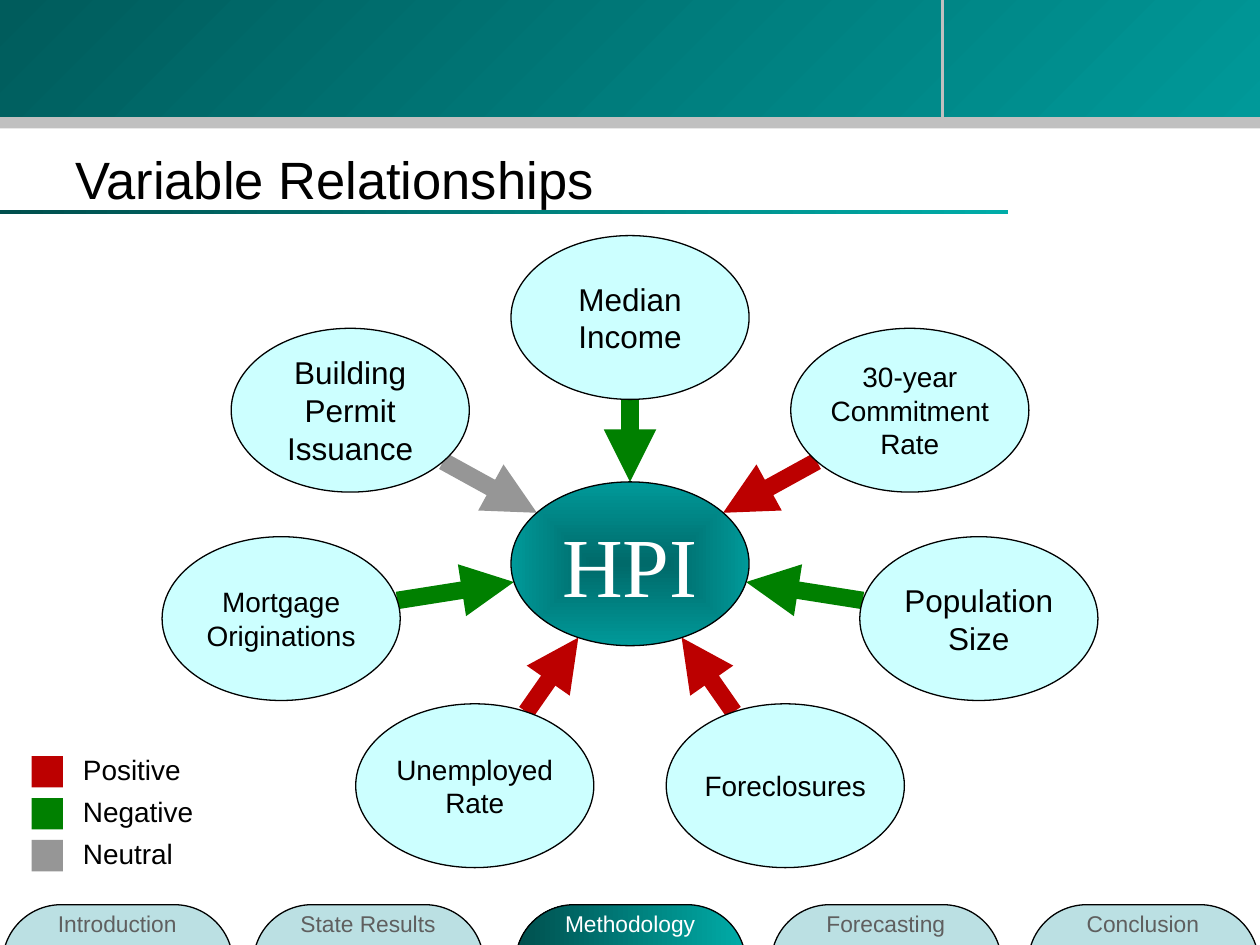
import math

import lxml.etree
import pptx
import pptx.dml.color
import pptx.enum.shapes
import pptx.enum.text
import pptx.oxml
import pptx.oxml.ns
import pptx.util

Inches = pptx.util.Inches
SHAPE = pptx.enum.shapes.MSO_SHAPE
ALIGN = pptx.enum.text.PP_ALIGN
ANCHOR = pptx.enum.text.MSO_ANCHOR

COLORS = {
    "black": "000000", "white": "FFFFFF", "silver": "C0C0C0",
    "teal": "009999", "dark_teal": "005C5C", "hub_core": "006A6A",
    "accent": "00ACA8", "dark_accent": "004F4D",
    "bubble": "CCFFFF", "tab": "BBE0E3", "tab_text": "5F5F5F",
    "positive": "BC0000", "negative": "008000", "neutral": "969696",
}

# Variables clockwise from the top: label, size, relationship
VARIABLES = [
    ("Median\nIncome", 18, "negative"),
    ("30-year Commitment Rate", 16, "positive"),
    ("Population\nSize", 18, "negative"),
    ("Foreclosures", 16, "positive"),
    ("Unemployed Rate", 16, "positive"),
    ("Mortgage Originations", 16, "negative"),
    ("Building Permit Issuance", 18, "neutral"),
]
TABS = [(0.02, "Introduction"), (2.01, "State Results"), (4.09, "Methodology"),
        (6.12, "Forecasting"), (8.16, "Conclusion")]
ACTIVE_TAB = "Methodology"

CENTER_X, CENTER_Y = 5, 4.475
ORBIT_X, ORBIT_Y = 2.84, 1.955
BUBBLE_WIDTH, BUBBLE_HEIGHT = 1.89, 1.3


def rgb(name):
    return pptx.dml.color.RGBColor.from_string(COLORS[name])


def write_text(shape, text, size=16, color="black", font="Arial", align=ALIGN.LEFT,
               anchor=ANCHOR.TOP, insets=(0.1, 0.05)):
    frame = shape.text_frame
    frame.word_wrap = True
    frame.vertical_anchor = anchor
    frame.margin_left = frame.margin_right = Inches(insets[0])
    frame.margin_top = frame.margin_bottom = Inches(insets[1])
    frame.text = text
    for paragraph in frame.paragraphs:
        paragraph.alignment = align
        paragraph.font.size = pptx.util.Pt(size)
        paragraph.font.name = font
        paragraph.font.color.rgb = rgb(color)


def add_text(slide, left, top, width, height, text, **text_format):
    box = slide.shapes.add_textbox(Inches(left), Inches(top), Inches(width), Inches(height))
    write_text(box, text, **text_format)


def add_shape(slide, kind, left, top, width, height, fill, outlined=False, angle=0):
    """A fill is one color name, or a pair of names for a gradient."""
    shape = slide.shapes.add_shape(
        kind, Inches(left), Inches(top), Inches(width), Inches(height))
    shape.shadow.inherit = False
    if isinstance(fill, tuple):
        shape.fill.gradient()
        shape.fill.gradient_angle = angle
        for stop, position, name in zip(shape.fill.gradient_stops, (0, 1), fill):
            stop.position = position
            stop.color.rgb = rgb(name)
    else:
        shape.fill.solid()
        shape.fill.fore_color.rgb = rgb(fill)
    if outlined:
        shape.line.color.rgb = rgb("black")
        shape.line.width = pptx.util.Pt(0.75)
    else:
        shape.line.fill.background()
    return shape


def add_line(slide, start, end, color, width, arrow=False):
    points = [Inches(value) for value in (*start, *end)]
    line = slide.shapes.add_connector(pptx.enum.shapes.MSO_CONNECTOR.STRAIGHT, *points)
    line.line.color.rgb = rgb(color)
    line.line.width = pptx.util.Pt(width)
    if arrow:
        lxml.etree.SubElement(line.line._get_or_add_ln(),
                              pptx.oxml.ns.qn("a:tailEnd"), type="triangle")
    lxml.etree.SubElement(line._element.spPr, pptx.oxml.ns.qn("a:effectLst"))


def add_bubble(slide, x, y, fill, text, **text_format):
    bubble = add_shape(slide, SHAPE.OVAL, x - BUBBLE_WIDTH / 2, y - BUBBLE_HEIGHT / 2,
                       BUBBLE_WIDTH, BUBBLE_HEIGHT, fill, outlined=True)
    write_text(bubble, text, align=ALIGN.CENTER, anchor=ANCHOR.MIDDLE,
               insets=(0, 0), **text_format)
    return bubble


def make_gradient_radiate(shape):
    linear = shape._element.spPr.find(".//" + pptx.oxml.ns.qn("a:lin"))
    linear.getparent().replace(linear, pptx.oxml.parse_xml(
        f'<a:path {pptx.oxml.ns.nsdecls("a")} path="rect">'
        '<a:fillToRect l="50000" t="50000" r="50000" b="50000"/></a:path>'))


def add_header(slide):
    add_shape(slide, SHAPE.RECTANGLE, 0, 1.67, 8, 0.03, ("accent", "dark_accent"), angle=180)
    add_shape(slide, SHAPE.RECTANGLE, 0, 0, 10, 1, ("teal", "dark_teal"), angle=135)
    add_shape(slide, SHAPE.RECTANGLE, 0, 0.93, 10, 0.09, "silver")
    add_line(slide, (7.48, 0), (7.48, 1), "silver", 2)
    add_text(slide, 0.5, 1, 9, 0.83, "Variable Relationships", size=30, anchor=ANCHOR.MIDDLE)


def add_tabs(slide):
    for left, label in TABS:
        active = label == ACTIVE_TAB
        fill = ("accent", "dark_accent") if active else "tab"
        tab = add_shape(slide, SHAPE.ROUNDED_RECTANGLE, left, 7.18, 1.83, 1.15, fill,
                        outlined=True, angle=180)
        tab.adjustments[0] = 0.405
        add_text(slide, left - 0.09, 7.17, 2, 0.32, label, size=13, align=ALIGN.CENTER,
                 color="white" if active else "tab_text")


def add_diagram(slide):
    for index, (label, size, relationship) in enumerate(VARIABLES):
        angle = 2 * math.pi * index / len(VARIABLES)
        across, up = math.sin(angle), math.cos(angle)
        x, y = CENTER_X + ORBIT_X * across, CENTER_Y - ORBIT_Y * up
        # The arrow runs between the facing edges of bubble and hub
        edge_x, edge_y = BUBBLE_WIDTH / 2 * across, BUBBLE_HEIGHT / 2 * up
        add_line(slide, (x - edge_x, y + edge_y), (CENTER_X + edge_x, CENTER_Y - edge_y),
                 relationship, 10, arrow=True)
        add_bubble(slide, x, y, "bubble", label, size=size)
    hub = add_bubble(slide, CENTER_X, CENTER_Y, ("hub_core", "teal"), "HPI",
                     size=48, color="white", font="Times New Roman")
    make_gradient_radiate(hub)


def add_legend(slide):
    for row, relationship in enumerate(("positive", "negative", "neutral")):
        top = 6 + row / 3
        add_shape(slide, SHAPE.RECTANGLE, 0.25, top, 0.25, 0.25, relationship)
        add_text(slide, 0.56, top - 0.08, 1.25, 0.37, relationship.capitalize())


def main():
    presentation = pptx.Presentation()
    presentation.slide_width, presentation.slide_height = Inches(10), Inches(7.5)
    slide = presentation.slides.add_slide(presentation.slide_layouts[6])
    add_header(slide)
    add_tabs(slide)
    add_diagram(slide)
    add_legend(slide)
    presentation.save("out.pptx")


if __name__ == "__main__":
    main()
